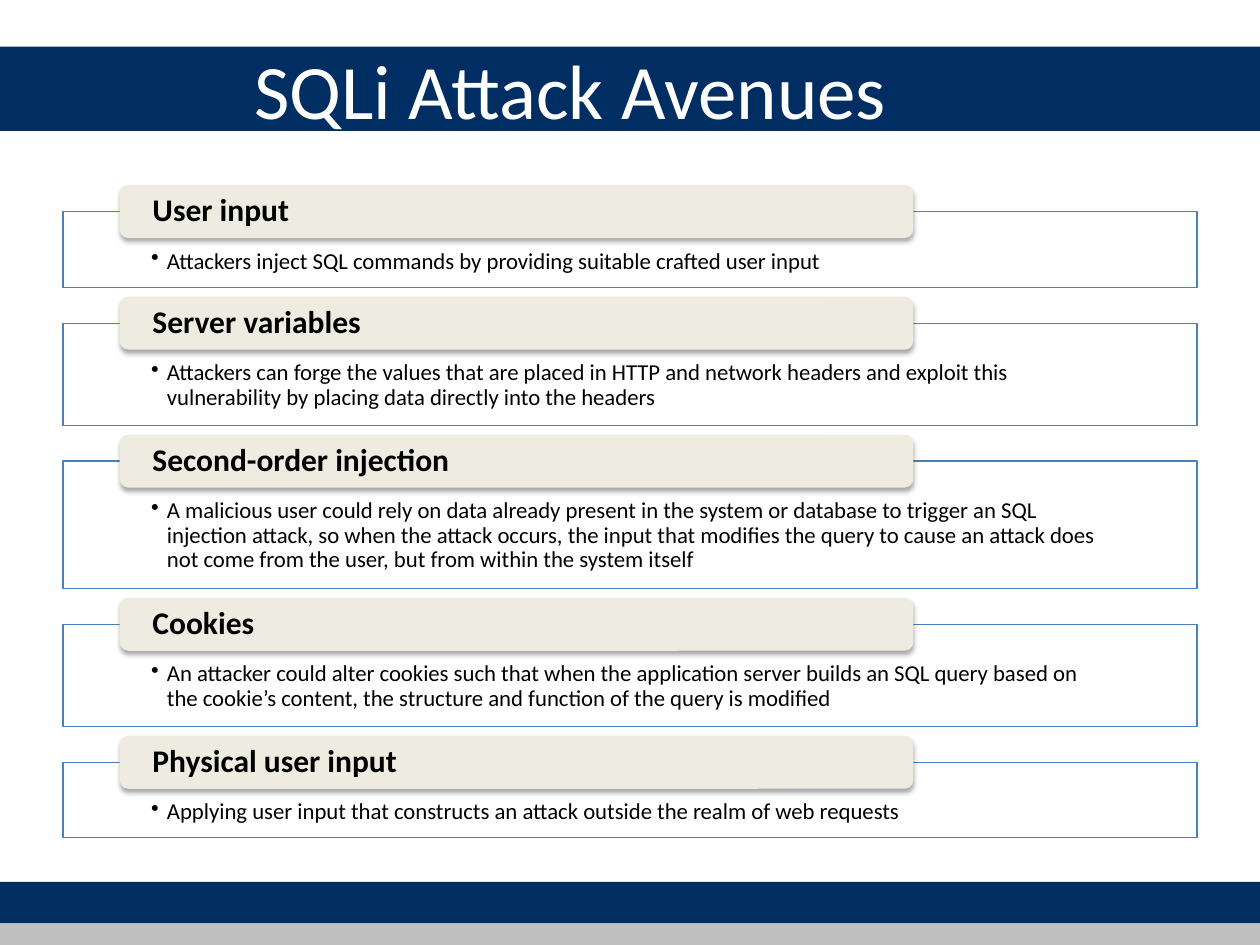
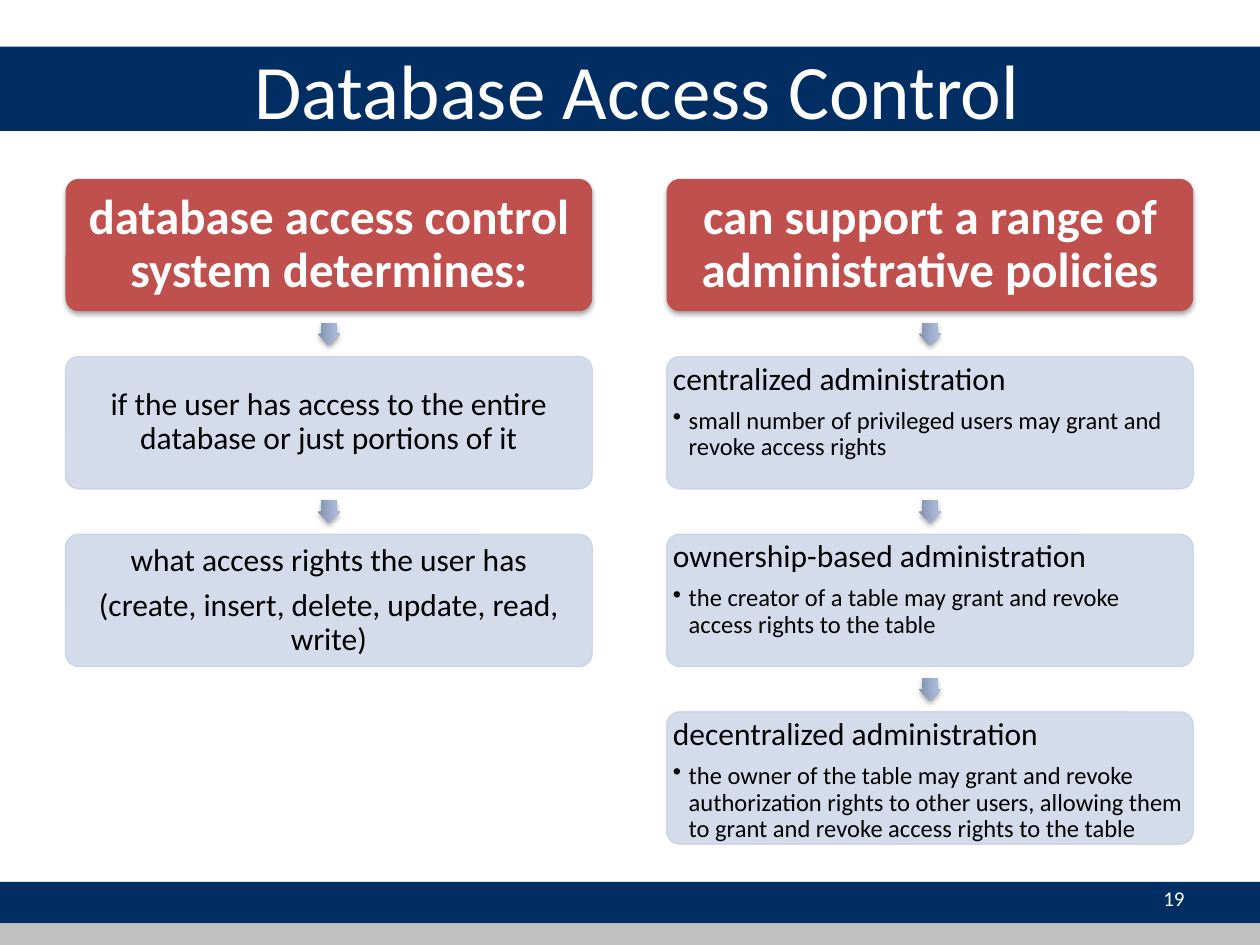
from lxml.etree import SubElement
from pptx import Presentation
from pptx.dml.color import RGBColor
from pptx.enum.shapes import MSO_SHAPE as SHAPE
from pptx.enum.text import MSO_ANCHOR as ANCHOR, PP_ALIGN as ALIGN
from pptx.oxml.ns import qn
from pptx.util import Emu, Inches, Pt

# Content
AVENUES_TITLE = "SQLi Attack Avenues"
AVENUES = [  # heading, explanation, panel height
    ("User input",
     "Attackers inject SQL commands by providing suitable crafted user input", 0.6),
    ("Server variables",
     "Attackers can forge the values that are placed in HTTP and network headers "
     "and exploit this vulnerability by placing data directly into the headers", 0.81),
    ("Second-order injection",
     "A malicious user could rely on data already present in the system or database "
     "to trigger an SQL injection attack, so when the attack occurs, the input that "
     "modifies the query to cause an attack does not come from the user, but from "
     "within the system itself", 1.01),
    ("Cookies",
     "An attacker could alter cookies such that when the application server builds "
     "an SQL query based on the cookie’s content, the structure and function of the "
     "query is modified", 0.81),
    ("Physical user input",
     "Applying user input that constructs an attack outside the realm of web requests", 0.6),
]
CONTROL_TITLE = "Database Access Control"
DETERMINES = ("database access control system determines:", [
    ["if the user has access to the entire database or just portions of it"],
    ["what access rights the user has", "(create, insert, delete, update, read, write)"],
])
POLICIES = ("can support a range of administrative policies", [
    ["centralized administration",
     "small number of privileged users may grant and revoke access rights"],
    ["ownership-based administration",
     "the creator of a table may grant and revoke access rights to the table"],
    ["decentralized administration",
     "the owner of the table may grant and revoke authorization rights to other users, "
     "allowing them to grant and revoke access rights to the table"],
])

# Shared look
W, H = 10, 7.5
FONT = "Calibri"
NAVY, SILVER, WHITE, BLACK = "002E62", "C0C0C0", "FFFFFF", "000000"
BLUE, CREAM, RED = "4B7EBC", "EEECE1", "C0504D"
PALE, PALE_EDGE = "D0D8E8", "CBD3E3"
ARROW_DARK, ARROW_LIGHT = "818FA8", "A8B9DA"
BANDS = [(7, 0.33, NAVY), (0.37, 0.67, NAVY), (7.33, 0.17, SILVER)]  # top, height, colour

# Grids
PANEL_LEFT, PANEL_TOP, PANEL_GAP = 0.5, 1.68, 0.285
TAB_LEFT, TAB_W, TAB_H = 0.95, 6.3, 0.42
COL_LEFT, COL_STEP, ROW_TOP, ROW_STEP = 0.52, 4.77, 1.42, 1.41
BOX_W, BOX_H, ARROW = 4.18, 1.05, 0.18


def rgb(color):
    return RGBColor.from_string(color)


def set_alpha(fill_format, percent):
    for clr in fill_format.iter(qn("a:srgbClr")):
        SubElement(clr, qn("a:alpha"), val=str(percent * 1000))


def add_shadow(sp):
    effects = sp._element.spPr.find(qn("a:effectLst"))
    outer = SubElement(effects, qn("a:outerShdw"), blurRad=str(Pt(3.1)), dist=str(Pt(1.8)),
                       dir="5400000", rotWithShape="0")
    clr = SubElement(outer, qn("a:srgbClr"), val=BLACK)
    SubElement(clr, qn("a:alpha"), val="35000")


def add_shape(s, kind, left, top, width, height, fill=None, line=None, alpha=100,
              shadow=False, radius=None):
    sp = s.shapes.add_shape(kind, *map(Inches, (left, top, width, height)))
    sp.shadow.inherit = False
    if fill:
        sp.fill.solid()
        sp.fill.fore_color.rgb = rgb(fill)
    if line:
        sp.line.color.rgb = rgb(line)
        sp.line.width = Pt(0.75)
    else:
        sp.line.fill.background()
    if alpha < 100:
        set_alpha(sp._element.spPr, alpha)
    if shadow:
        add_shadow(sp)
    if radius:
        sp.adjustments[0] = radius
    return sp


def write(sp, paras, insets, anchor=ANCHOR.MIDDLE, align=ALIGN.LEFT, color=BLACK,
          bold=False, spacing=0.9):
    """Fill a shape with (text, size, bulleted) paragraphs."""
    tf = sp.text_frame
    tf.word_wrap = True
    tf.vertical_anchor = anchor
    tf.margin_left = tf.margin_right = Inches(insets[0])
    tf.margin_top, tf.margin_bottom = Inches(insets[1]), Inches(insets[-1])
    for i, (text, size, bulleted) in enumerate(paras):
        p = tf.paragraphs[0] if i == 0 else tf.add_paragraph()
        p.text = text
        if bulleted:
            pPr = p._p.get_or_add_pPr()
            pPr.set("marL", str(Inches(0.125)))
            pPr.set("indent", str(-Inches(0.125)))
            SubElement(pPr, qn("a:buChar"), char="•")
        p.alignment = align
        p.line_spacing = spacing
        if i < len(paras) - 1:
            p.space_after = Pt(0.35 * size)
        for r in p.runs:
            r.font.name, r.font.size, r.font.bold = FONT, Pt(size), bold
            r.font.color.rgb = rgb(color)


def add_label(s, left, top, width, height, text, size, align):
    sp = s.shapes.add_textbox(*map(Inches, (left, top, width, height)))
    write(sp, [(text, size, False)], (0.1, 0.05), align=align, color=WHITE, spacing=1)


def add_slide(prs, title):
    s = prs.slides.add_slide(prs.slide_layouts[6])
    for top, height, color in BANDS:
        add_shape(s, SHAPE.RECTANGLE, 0, top, W, height, color)
    add_label(s, 1.92, 0.08, 7.92, 1.25, title, 44, ALIGN.LEFT)
    return s


def add_down_arrow(s, center, top):
    sp = add_shape(s, SHAPE.RIGHT_ARROW, center - ARROW / 2, top, ARROW, ARROW, shadow=True)
    sp.rotation = 90
    sp.adjustments[0], sp.adjustments[1] = 0.667, 0.5
    # Gradient first, then its two stops
    sp.fill.gradient()
    sp.fill.gradient_angle = 90
    stops = zip(sp.fill.gradient_stops, (ARROW_DARK, ARROW_LIGHT), (0, 0.8))
    for stop, color, position in stops:
        stop.color.rgb = rgb(color)
        stop.position = position


def add_column(s, col, heading, boxes, detailed):
    left = COL_LEFT + col * COL_STEP
    sp = add_shape(s, SHAPE.ROUNDED_RECTANGLE, left, ROW_TOP, BOX_W, BOX_H, RED,
                   shadow=True, radius=0.1)
    write(sp, [(heading, 28, False)], (0.04, 0.04), align=ALIGN.CENTER,
          color=WHITE, bold=True)
    for row, texts in enumerate(boxes, 1):
        top = ROW_TOP + row * ROW_STEP
        gap = ROW_STEP - BOX_H
        add_down_arrow(s, left + BOX_W / 2, top - (gap + ARROW) / 2)
        sp = add_shape(s, SHAPE.ROUNDED_RECTANGLE, left, top, BOX_W, BOX_H, PALE,
                       PALE_EDGE, alpha=90, radius=0.1)
        paras = [(text, 14 if detailed and i else 18, detailed and i > 0)
                 for i, text in enumerate(texts)]
        write(sp, paras, (0.02, 0.02),
              anchor=ANCHOR.TOP if detailed else ANCHOR.MIDDLE,
              align=ALIGN.LEFT if detailed else ALIGN.CENTER)


def build_avenues(prs):
    s = add_slide(prs, AVENUES_TITLE)
    top = PANEL_TOP
    for heading, text, height in AVENUES:
        panel = add_shape(s, SHAPE.RECTANGLE, PANEL_LEFT, top, W - 2 * PANEL_LEFT, height,
                          WHITE, BLUE)
        write(panel, [(text, 13, True)], (0.7, 0.3, 0.1), anchor=ANCHOR.TOP)
        tab = add_shape(s, SHAPE.ROUNDED_RECTANGLE, TAB_LEFT, top - TAB_H / 2, TAB_W, TAB_H,
                        CREAM, shadow=True, radius=0.167)
        write(tab, [(heading, 18, False)], (0.24, 0), bold=True)
        top += height + PANEL_GAP


def build_access_control(prs):
    s = add_slide(prs, CONTROL_TITLE)
    add_column(s, 0, *DETERMINES, detailed=False)
    add_column(s, 1, *POLICIES, detailed=True)
    add_label(s, 7.17, 6.93, 2.33, 0.4, "19", 12, ALIGN.RIGHT)


def main():
    prs = Presentation()
    prs.slide_width, prs.slide_height = Emu(Inches(W)), Emu(Inches(H))
    build_avenues(prs)
    build_access_control(prs)
    prs.save("out.pptx")


if __name__ == "__main__":
    main()
